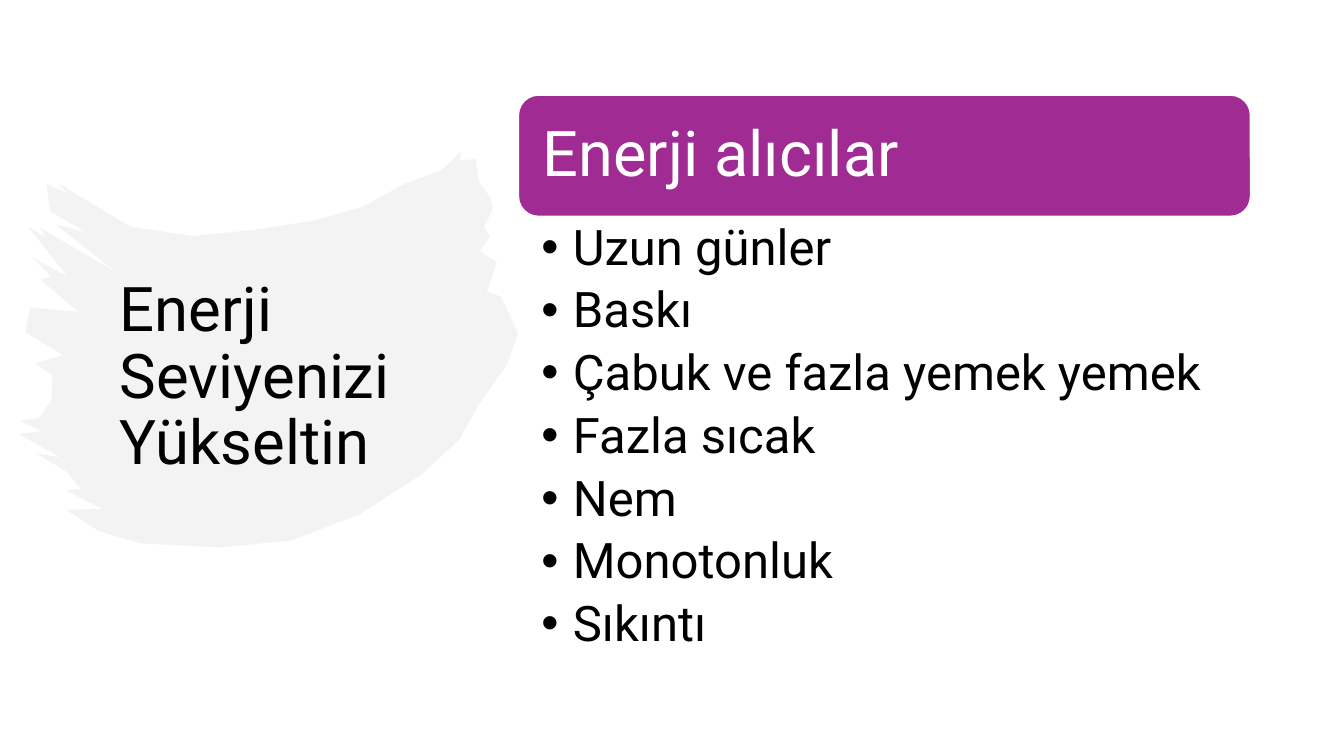
from dataclasses import dataclass

from lxml.etree import SubElement
from pptx import Presentation
from pptx.dml.color import RGBColor as Rgb
from pptx.enum.shapes import MSO_SHAPE as Shape
from pptx.enum.text import MSO_ANCHOR as Anchor, MSO_AUTO_SIZE as AutoSize, PP_ALIGN as Align
from pptx.oxml.ns import qn
from pptx.util import Pt


@dataclass(frozen=True)
class Theme:
    font: str = "Roboto"
    ink: Rgb = Rgb.from_string("000000")
    paper: Rgb = Rgb.from_string("FFFFFF")
    accent: Rgb = Rgb.from_string("A02B93")
    brush: Rgb = Rgb.from_string("E8E8E8")
    title_size: int = 44
    header_size: int = 45
    list_size: int = 35


@dataclass(frozen=True)
class Box:
    left: float
    top: float
    width: float
    height: float

    def place(self, shape):
        shape.left, shape.top = Pt(self.left), Pt(self.top)
        shape.width, shape.height = Pt(self.width), Pt(self.height)


THEME = Theme()
DRAINERS = ["Uzun günler", "Baskı", "Çabuk ve fazla yemek yemek", "Fazla sıcak",
            "Nem", "Monotonluk", "Sıkıntı"]

# Brush stroke outline in hundredths of an inch, clockwise from the upper right tip
BRUSH_OUTLINE = [
    # Right edge
    (458, 150), (456, 159), (472, 158), (475, 180), (487, 197), (489, 207), (480, 225),
    (486, 235), (476, 249), (493, 260), (483, 289), (497, 294), (514, 330), (503, 361),
    (476, 399), (456, 435),
    # Lower edge
    (418, 470), (357, 509), (290, 535), (220, 542), (139, 538), (98, 526), (66, 505),
    (102, 504), (66, 486), (80, 484),
    # Left bristles
    (66, 467), (36, 449), (60, 453), (19, 430), (41, 427), (20, 417), (39, 414),
    (51, 396), (52, 372), (35, 360), (63, 352), (25, 329), (30, 305), (78, 309),
    (40, 277), (51, 274), (32, 255), (67, 274), (28, 225), (45, 235), (40, 226),
    (117, 271), (56, 223), (85, 230), (50, 210), (46, 182), (67, 192), (58, 182),
    # Upper edge
    (130, 225), (192, 234), (251, 228), (310, 219), (360, 205), (402, 182), (438, 169),
]


def write(para, text, *, size, color, after=0):
    para.alignment = Align.LEFT
    para.line_spacing = 0.9
    para.space_before, para.space_after = Pt(0), Pt(after)
    span = para.add_run()
    span.text = text
    span.font.name, span.font.size = THEME.font, Pt(size)
    span.font.color.rgb = color


def prepare_frame(shape, anchor, side, edge, right=None):
    frame = shape.text_frame
    frame.word_wrap, frame.auto_size = True, AutoSize.NONE
    frame.vertical_anchor = anchor
    frame.margin_left, frame.margin_right = Pt(side), Pt(right or side)
    frame.margin_top = frame.margin_bottom = Pt(edge)
    return frame


def add_bullet(para, indent):
    props = para._p.get_or_add_pPr()
    props.set("marL", str(Pt(indent)))
    props.set("indent", str(-Pt(indent)))
    SubElement(props, qn("a:buFont"), typeface="Arial")
    SubElement(props, qn("a:buChar"), char="•")


def draw_brush(page, box):
    builder = page.shapes.build_freeform(*BRUSH_OUTLINE[0], scale=Pt(72) / 100)
    builder.add_line_segments(BRUSH_OUTLINE[1:], close=True)
    brush = builder.convert_to_shape()
    box.place(brush)
    brush.shadow.inherit = False
    brush.fill.solid()
    brush.fill.fore_color.rgb = THEME.brush
    brush.line.fill.background()
    tint = brush.element.spPr.find(qn("a:solidFill"))[0]
    SubElement(tint, qn("a:alpha"), val="50000")
    # Send behind the title
    brush.element.getparent().insert(2, brush.element)


def fill_title(page, box):
    title = page.shapes.title
    box.place(title)
    frame = prepare_frame(title, Anchor.MIDDLE, side=7.2, edge=3.6)
    write(frame.paragraphs[0], "Enerji Seviyenizi Yükseltin",
          size=THEME.title_size, color=THEME.ink)


def draw_drainers(page, box, header_height):
    # Header bar
    header = page.shapes.add_shape(Shape.ROUNDED_RECTANGLE, 0, 0, 0, 0)
    Box(box.left, box.top, box.width, header_height).place(header)
    header.shadow.inherit = False
    header.fill.solid()
    header.fill.fore_color.rgb = THEME.accent
    header.line.color.rgb, header.line.width = THEME.paper, Pt(1.5)
    frame = prepare_frame(header, Anchor.MIDDLE, side=13.5, edge=13.5)
    write(frame.paragraphs[0], "Enerji alıcılar", size=THEME.header_size, color=THEME.paper)

    # Bulleted list
    body = page.placeholders[1]
    Box(box.left, box.top + header_height, box.width, box.height - header_height).place(body)
    frame = prepare_frame(body, Anchor.TOP, side=16.6, edge=4.4, right=25)
    for index, drainer in enumerate(DRAINERS):
        para = frame.add_paragraph() if index else frame.paragraphs[0]
        add_bullet(para, 22.5)
        write(para, drainer, size=THEME.list_size, color=THEME.ink, after=7)


def main():
    deck = Presentation()
    deck.slide_width, deck.slide_height = Pt(960), Pt(540)
    page = deck.slides.add_slide(deck.slide_layouts[1])
    draw_brush(page, Box(13.7, 108, 356.4, 283))
    fill_title(page, Box(78.5, 54, 275, 432.7))
    draw_drainers(page, Box(370.1, 67.7, 523.4, 416.9), header_height=87.1)
    deck.save("out.pptx")


if __name__ == "__main__":
    main()
